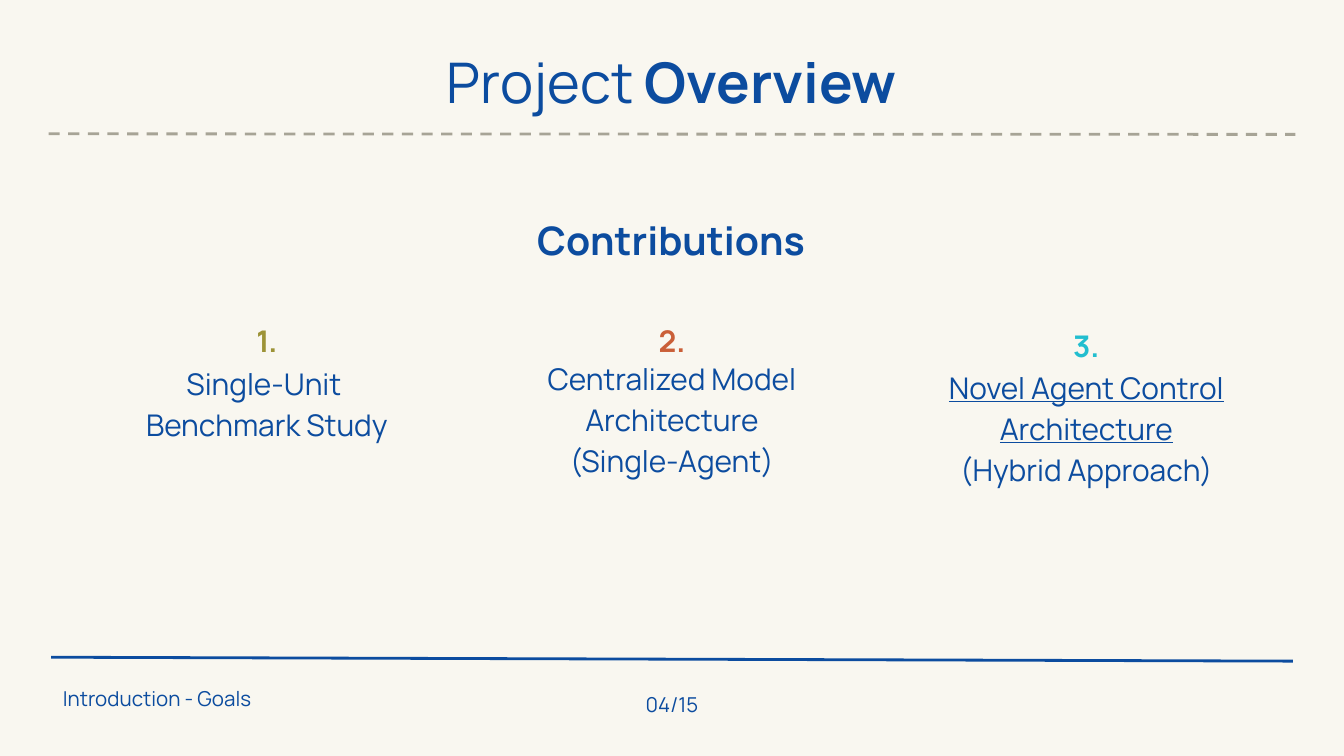
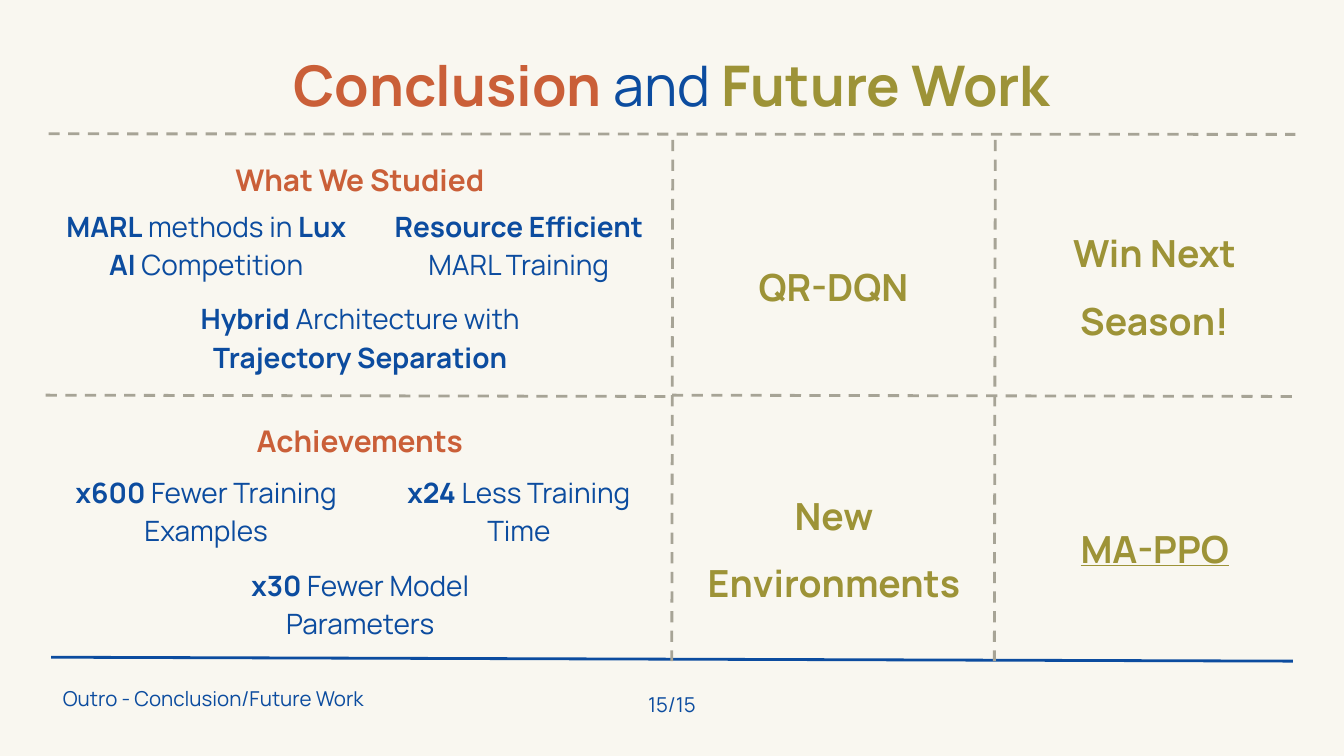
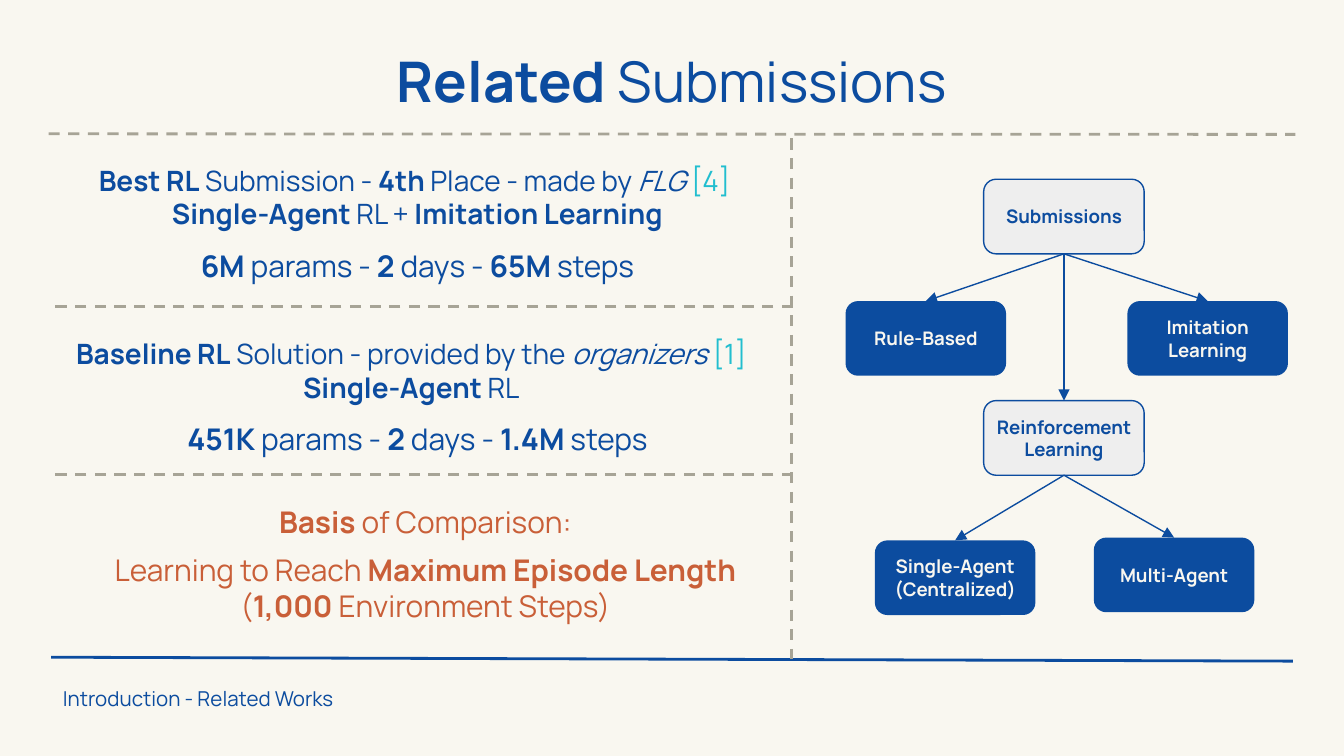
from collections import namedtuple

from lxml.etree import SubElement
from pptx import Presentation
from pptx.dml.color import RGBColor
from pptx.enum.dml import MSO_LINE
from pptx.enum.shapes import MSO_CONNECTOR, MSO_SHAPE
from pptx.enum.text import MSO_ANCHOR, MSO_AUTO_SIZE, PP_ALIGN
from pptx.oxml.ns import qn
from pptx.util import Pt

COLORS = {
    "paper": "F9F7F0", "blue": "0C4C9F", "grey": "A7A496", "olive": "9D9337",
    "rust": "CA5F38", "basis": "C95F38", "cyan": "22BECF", "box": "EEEEEE",
}
FONT = "Manrope"
TOP, BOTTOM = 0, 2

Run = namedtuple("Run", "text bold italic underline color",
                 defaults=(False, False, False, None))


def rgb(name):
    """Look up a palette colour."""
    return RGBColor.from_string(COLORS[name])


def bold(text, color=None):
    """Make a bold run."""
    return Run(text, bold=True, color=color)


def write(paragraph, runs, size, color, align=PP_ALIGN.CENTER, spacing=None):
    """Fill a paragraph, putting shared styling on the paragraph itself."""
    runs = [Run(run) if isinstance(run, str) else run for run in runs]
    paragraph.alignment = align
    if spacing:
        paragraph.line_spacing = spacing
    font = paragraph.font
    font.name, font.size = FONT, Pt(size)
    if not any(run.color for run in runs):
        font.color.rgb = rgb(color)
    mixed = []
    for trait in ("bold", "italic", "underline"):
        values = {getattr(run, trait) for run in runs}
        if len(values) > 1:
            mixed.append(trait)
        elif True in values:
            setattr(font, trait, True)
    recolored = any(run.color for run in runs)
    for run in runs:
        for number, part in enumerate(run.text.split("\n")):
            if number:
                paragraph.add_line_break()
            if not part:
                continue
            piece = paragraph.add_run()
            piece.text = part
            for trait in mixed:
                setattr(piece.font, trait, getattr(run, trait))
            if recolored:
                piece.font.color.rgb = rgb(run.color or color)


def add_text(slide, box, lines, size, color="blue", spacing=1.15,
             align=PP_ALIGN.CENTER, middle=False):
    """Add a text box; each line is a list of runs, spacing one value or one per line."""
    frame = slide.shapes.add_textbox(*map(Pt, box)).text_frame
    frame.word_wrap = True
    frame.margin_left = frame.margin_right = Pt(7.2)
    frame.margin_top = frame.margin_bottom = Pt(7.2)
    frame.vertical_anchor = MSO_ANCHOR.MIDDLE if middle else MSO_ANCHOR.TOP
    frame.auto_size = MSO_AUTO_SIZE.NONE if middle else MSO_AUTO_SIZE.SHAPE_TO_FIT_TEXT
    spacings = spacing if isinstance(spacing, tuple) else (spacing,) * len(lines)
    for number, (runs, gap) in enumerate(zip(lines, spacings)):
        paragraph = frame.add_paragraph() if number else frame.paragraphs[0]
        write(paragraph, runs, size, color, align, gap)


def add_rule(slide, start, end, color="grey", width=1.5, dashed=True):
    """Draw a straight line between two points."""
    rule = slide.shapes.add_connector(MSO_CONNECTOR.STRAIGHT, *map(Pt, (*start, *end)))
    rule.line.color.rgb = rgb(color)
    rule.line.width = Pt(width)
    if dashed:
        rule.line.dash_style = MSO_LINE.DASH
    SubElement(rule._element.spPr, qn("a:effectLst"))
    return rule


def add_node(slide, left, top, label, filled=True):
    """Add a rounded box of the submission tree."""
    node = slide.shapes.add_shape(MSO_SHAPE.ROUNDED_RECTANGLE,
                                  *map(Pt, (left, top, 86, 40)))
    node.shadow.inherit = False
    node.fill.solid()
    node.fill.fore_color.rgb = rgb("blue" if filled else "box")
    if filled:
        node.line.fill.background()
    else:
        node.line.color.rgb = rgb("blue")
        node.line.width = Pt(0.75)
    frame = node.text_frame
    frame.word_wrap = True
    frame.margin_left = frame.margin_right = frame.margin_top = frame.margin_bottom = 0
    frame.vertical_anchor = MSO_ANCHOR.MIDDLE
    write(frame.paragraphs[0], [bold(label)], 10, "paper" if filled else "blue")
    return node


def add_branch(slide, parent, child):
    """Join the bottom of a parent to the top of its child with an arrow."""
    branch = add_rule(slide, (0, 0), (0, 0), "blue", 0.75, dashed=False)
    branch.begin_connect(parent, BOTTOM)
    branch.end_connect(child, TOP)
    SubElement(branch.line._get_or_add_ln(), qn("a:tailEnd"), type="triangle")


def start_slide(deck, title, title_top, title_width, section, page=None):
    """Add a slide with its title, rules and footer."""
    slide = deck.slides.add_slide(deck.slide_layouts[6])
    slide.background.fill.solid()
    slide.background.fill.fore_color.rgb = rgb("paper")
    add_text(slide, (360 - title_width / 2, title_top, title_width, 51), [title], 30)
    add_text(slide, (26.6, 368, 302, 22), [[section]], 11, spacing=0.6,
             align=PP_ALIGN.LEFT)
    if page:
        add_text(slide, (300, 364.3, 120, 28), [[page]], 11, spacing=None)
    add_rule(slide, (26, 71.7), (694, 72))
    add_rule(slide, (27.4, 352.1), (692.6, 354.2), "blue", dashed=False)
    return slide


def build_overview(deck):
    """Build the slide with the three contributions."""
    slide = start_slide(deck, ["Project ", bold("Overview")], 13, 344,
                        "Introduction - Goals", "04/15")
    add_text(slide, (102, 105, 515, 40), [[bold("Contributions")]], 21)
    contributions = [
        ("1.", "olive", 143, 163, 186, 164, [["Single-Unit \nBenchmark Study"]]),
        ("2.", "rust", 360, 163, 183, 166,
         [["Centralized Model Architecture\n(Single-Agent)"]]),
        ("3.", "cyan", 582, 165.6, 188, 174,
         [[Run("Novel Agent Control Architecture", underline=True)],
          ["(Hybrid Approach)"]]),
    ]
    for number, color, center, number_top, top, width, lines in contributions:
        height = 56 if number == "1." else 78
        add_text(slide, (center - width / 2, top, width, height), lines, 16)
        add_text(slide, (center - 18, number_top, 36, 34), [[bold(number)]], 16, color)


def build_conclusion(deck):
    """Build the grid of findings and future work."""
    title = [bold("Conclusion ", "rust"), "and ", bold("Future Work", "olive")]
    slide = start_slide(deck, title, 14.4, 665, "Outro - Conclusion/Future Work", "15/15")
    for x in (360.4, 533.2):
        add_rule(slide, (x, 75), (x - 0.5, 354.2))
    for left, right in ((24.5, 360.4), (360, 695.5)):
        add_rule(slide, (left, 211.7), (right, 212.4))

    findings = [
        ("What We Studied", 72.7, 102.2, 209,
         [bold("MARL"), " methods in ", bold("Lux AI"), " Competition"],
         [bold("Resource Efficient "), "MARL Training"],
         [bold("Hybrid"), " Architecture with ", bold("Trajectory Separation")]),
        ("Achievements", 212.4, 244.8, 164,
         [bold("x600 "), "Fewer Training Examples"],
         [bold("x24 "), "Less Training Time"],
         [bold("x30 "), "Fewer Model Parameters"]),
    ]
    for heading, top, pair_top, last_width, first, second, last in findings:
        add_text(slide, (25, top, 335.5, 37.4), [[bold(heading)]], 16, "rust", 1.5,
                 middle=True)
        add_text(slide, (25, pair_top, 171, 53), [first], 15)
        add_text(slide, (196, pair_top, 164, 53), [second], 15)
        add_text(slide, (193 - last_width / 2, pair_top + 51.1, last_width, 53), [last],
                 15, middle=True)

    plans = [
        ((385, 122.4, 123, 39), bold("QR-DQN")),
        ((546.5, 104.4, 144, 75), bold("Win Next Season!")),
        ((366.5, 244.8, 160.6, 75), bold("New Environments")),
        ((555, 262.8, 127.4, 39), Run("MA-PPO", bold=True, underline=True)),
    ]
    for box, plan in plans:
        add_text(slide, box, [[plan]], 20, "olive", 1.5)


def build_submissions(deck):
    """Build the comparison of submissions beside their tree."""
    slide = start_slide(deck, [bold("Related"), " Submissions"], 12.2, 412,
                        "Introduction - Related Works")
    root = add_node(slide, 527, 96, "Submissions", filled=False)
    learning = add_node(slide, 527, 214.6, "Reinforcement Learning", filled=False)
    branches = [
        (root, learning),
        (root, add_node(slide, 453, 161.3, "Rule-Based")),
        (root, add_node(slide, 604, 161.3, "Imitation Learning")),
        (learning, add_node(slide, 468.7, 289.5, "Single-Agent\n(Centralized)")),
        (learning, add_node(slide, 586, 288, "Multi-Agent")),
    ]
    for parent, child in branches:
        add_branch(slide, parent, child)

    entries = [
        (76.3, 27.4, 392.4,
         [[bold("Best RL"), " Submission - ", bold("4th"), " Place - made by ",
           Run("FLG ", italic=True), Run("[4] ", color="cyan")],
          [bold("Single-Agent"), " RL + ", bold("Imitation Learning")]],
         [bold("6M "), "params - ", bold("2"), " days - ", bold("65M"), " steps"]),
        (169.2, 16.6, 407.5,
         [[bold("Baseline RL"), " Solution - provided by the ",
           Run("organizers ", italic=True), Run("[1]", color="cyan")],
          [bold("Single-Agent"), " RL"]],
         [bold("451K"), " params - ", bold("2"), " days - ", bold("1.4M"), " steps"]),
    ]
    for top, left, width, summary, cost in entries:
        add_text(slide, (left, top, width, 55.4), summary, 15, spacing=(1.15, None),
                 middle=True)
        add_text(slide, (27.4, top + 38.2, 392.4, 55.4), [cost], 16, spacing=None,
                 middle=True)

    add_rule(slide, (424.1, 74.2), (424.1, 352.8))
    for y in (164.2, 254.2):
        add_rule(slide, (424.8, y), (25.2, y))
    basis = [
        (252, [bold("Basis "), "of Comparison:"]),
        (287.3, ["Learning to Reach ", bold("Maximum Episode Length\n"), "(",
                 bold("1,000"), " Environment Steps)"]),
    ]
    for top, runs in basis:
        add_text(slide, (31.7, top, 392.4, 55.4), [runs], 16, "basis", None, middle=True)


def main():
    """Build and save the deck."""
    deck = Presentation()
    deck.slide_width, deck.slide_height = Pt(720), Pt(405)
    build_overview(deck)
    build_conclusion(deck)
    build_submissions(deck)
    deck.save("out.pptx")


if __name__ == "__main__":
    main()
